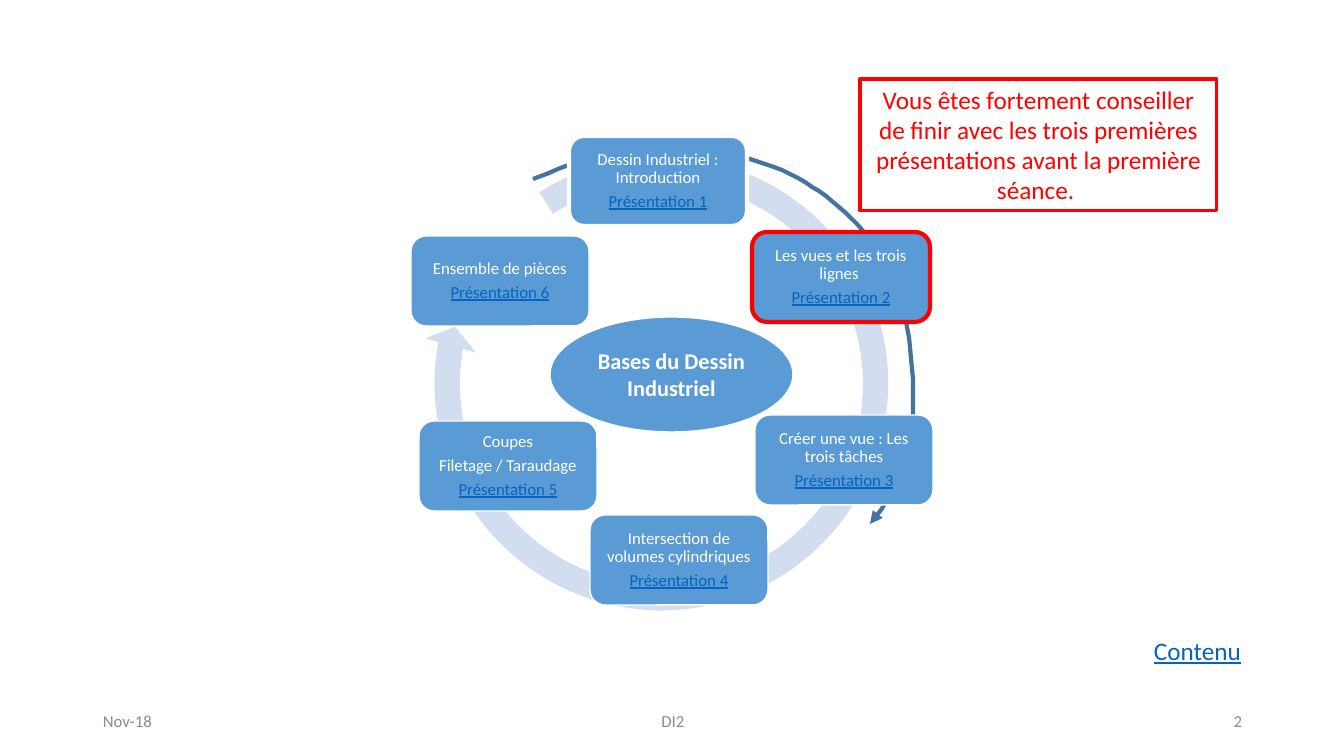
from pptx import Presentation
from pptx import util as u
from pptx.dml.color import RGBColor
from pptx.enum import shapes, text
from pptx.oxml import parse_xml
from pptx.oxml.ns import nsdecls

PX = 914400 / 100.8
BLUE = RGBColor(0x5B, 0x9B, 0xD5)
PALE = RGBColor(0xD2, 0xDE, 0xEF)
DARK = RGBColor(0x43, 0x73, 0x9E)
RED = RGBColor(0xFF, 0x00, 0x00)
WHITE = RGBColor(0xFF, 0xFF, 0xFF)
GREY = RGBColor(0x8C, 0x8C, 0x8C)
LINK = RGBColor(0x05, 0x63, 0xC1)

KIND = shapes.MSO_SHAPE
MID = text.MSO_ANCHOR.MIDDLE
TOP = text.MSO_ANCHOR.TOP
LEFT, CENTER, RIGHT = text.PP_ALIGN.LEFT, text.PP_ALIGN.CENTER, text.PP_ALIGN.RIGHT

NODE = (178, 90)
INSET = 5
NODES = [
    (569, 136, ["Dessin Industriel : Introduction"], WHITE, 3),
    (752, 232, ["Les vues et les trois lignes "], RED, 3),
    (755, 415, ["Créer une vue : Les trois tâches"], WHITE, 1),
    (590, 515, ["Intersection de volumes cylindriques"], WHITE, 1),
    (419, 421, ["Coupes", "Filetage / Taraudage"], WHITE, 1),
    (411, 236, ["Ensemble de pièces"], WHITE, 1),
]
RING = (0.05274, 3.1263, 142.684, 171.035, 0.05477)
START = (533, 179)
CURVES = [
    ((577, 162), (619, 144), (664, 144)),
    ((711, 145), (767, 160), (805, 182)),
    ((844, 206), (877, 239), (894, 280)),
    ((912, 323), (916, 393), (912, 434)),
    ((907, 475), (889, 499), (870, 524)),
]
STEPS = 16
FOOTER = [
    (93, 302, "Nov-18", LEFT),
    (446, 454, "DI2", CENTER),
    (950, 302, "2", RIGHT),
]


def emu(px):
    return round(px * PX)


def apply(item, form):
    for key, value in form.items():
        setattr(item, key, value)


def write(shape, lines, size, color, align=CENTER, anchor=MID, para=None, **font):
    frame = shape.text_frame
    apply(frame, {"word_wrap": True, "vertical_anchor": anchor})
    for i, line in enumerate(lines):
        p = frame.paragraphs[0] if i == 0 else frame.add_paragraph()
        apply(p, {"alignment": align, **(para or {})})
        run = p.add_run()
        run.text = line
        apply(run.font, {"name": "Calibri", "size": u.Pt(size), **font})
        run.font.color.rgb = color
    return frame


def paint(shape, fill=None, line=None, width=1):
    shape.shadow.inherit = False
    for part, color in ((shape.fill, fill), (shape.line.fill, line)):
        if color is None:
            part.background()
        else:
            part.solid()
            part.fore_color.rgb = color
    if line is not None:
        shape.line.width = u.Pt(width)


def draw(slide, kind, box, **look):
    shape = slide.shapes.add_shape(kind, *map(emu, box))
    paint(shape, **look)
    return shape


def label(slide, box, words, size, color, **form):
    write(slide.shapes.add_textbox(*map(emu, box)), [words], size, color, **form)


def bezier(a, b, c, d, t):
    s = 1 - t
    parts = (s ** 3, 3 * s * s * t, 3 * s * t * t, t ** 3)
    return tuple(sum(k * q for k, q in zip(parts, axis)) for axis in zip(a, b, c, d))


def sweep(slide):
    points = [START]
    for b, c, d in CURVES:
        a = points[-1]
        points += [bezier(a, b, c, d, i / STEPS) for i in range(1, STEPS + 1)]
    form = slide.shapes.build_freeform(*START, scale=PX)
    form.add_line_segments(points[1:], close=False)
    shape = form.convert_to_shape()
    paint(shape, line=DARK, width=3)
    tail = parse_xml(f'<a:tailEnd {nsdecls("a")} type="triangle"/>')
    shape.line._get_or_add_ln().append(tail)


def ring(slide):
    shape = draw(slide, KIND.CIRCULAR_ARROW, (421, 143, 481, 481), fill=PALE)
    shape.rotation = 312.4
    for i, value in enumerate(RING):
        shape.adjustments[i] = value


def node(slide, num, x, y, lines, edge, width):
    shape = draw(slide, KIND.ROUNDED_RECTANGLE, (x, y, *NODE),
                 fill=BLUE, line=edge, width=width)
    lines = [*lines, f"Présentation {num}"]
    para = {"line_spacing": 0.9, "space_after": u.Pt(4.2)}
    frame = write(shape, lines, 12, WHITE, para=para)
    sides = ("left", "top", "right", "bottom")
    apply(frame, {f"margin_{side}": emu(INSET) for side in sides})
    font = frame.paragraphs[-1].runs[0].font
    font.underline = True
    font.color.rgb = LINK


def main():
    deck = Presentation()
    apply(deck, {"slide_width": emu(1344), "slide_height": emu(756)})
    slide = deck.slides.add_slide(deck.slide_layouts[6])
    for x, width, words, align in FOOTER:
        label(slide, (x, 701, width, 40), words, 12, GREY, align=align)
    sweep(slide)
    ring(slide)
    for num, item in enumerate(NODES, 1):
        node(slide, num, *item)
    hub = draw(slide, KIND.OVAL, (550, 317, 243, 115), fill=BLUE, line=WHITE)
    write(hub, ["Bases du Dessin Industriel"], 16, WHITE, bold=True)
    note = draw(slide, KIND.RECTANGLE, (860, 79, 357, 132), line=RED, width=2.25)
    write(note, ["Vous êtes fortement conseiller de finir avec les trois premières "
                 "présentations avant la première séance. "], 18, RED, anchor=TOP)
    label(slide, (1144, 630, 124, 40), "Contenu", 18, LINK,
          align=LEFT, anchor=TOP, underline=True)
    deck.save("out.pptx")


if __name__ == "__main__":
    main()
